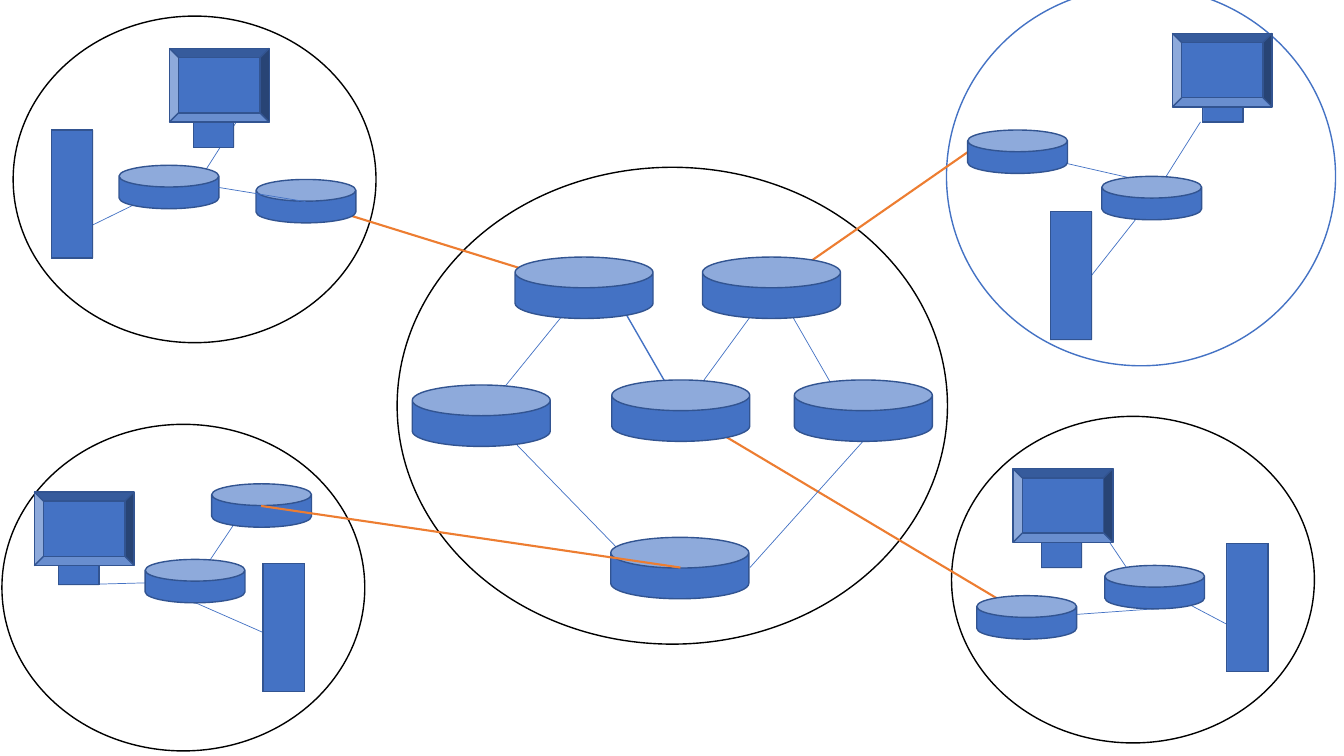
from dataclasses import dataclass

from lxml import etree
from pptx import Presentation
from pptx.dml.color import RGBColor
from pptx.enum.shapes import MSO_CONNECTOR, MSO_SHAPE
from pptx.oxml.ns import qn
from pptx.util import Pt

ELLIPSE = MSO_SHAPE.OVAL
BEVEL = MSO_SHAPE.BEVEL
CAN = MSO_SHAPE.CAN
STRAIGHT = MSO_CONNECTOR.STRAIGHT


@dataclass(frozen=True)
class Theme:
    white: RGBColor = RGBColor(0xFF, 0xFF, 0xFF)
    black: RGBColor = RGBColor(0x00, 0x00, 0x00)
    blue: RGBColor = RGBColor(0x44, 0x72, 0xC4)
    edge: RGBColor = RGBColor(0x32, 0x54, 0x91)
    orange: RGBColor = RGBColor(0xED, 0x7D, 0x31)
    outline: float = 1
    link: float = 0.5
    trunk: float = 1.5


@dataclass(frozen=True)
class LocalNetwork:
    ring: tuple
    ring_color: RGBColor
    monitor: tuple
    stand: tuple
    server: tuple
    routers: list
    links: list


THEME = Theme()
LOCAL_RING = (259.2, 233.3)
CORE_RING = (283.7, 119.5, 393.1, 340.6)
CORE_ROUTER = (98.6, 43.9)
LOCAL_ROUTER = (71.3, 31)
MONITOR = (71.3, 52.6)
STAND = (28.8, 52.6)
SERVER = (29.5, 91.4)

LOCAL_NETWORKS = [
    LocalNetwork(
        ring=(9.4, 11.5, *LOCAL_RING), ring_color=THEME.black,
        monitor=(121, 34.6), stand=(138.2, 52.6), server=(36.7, 92.9),
        routers=[(85, 118.1), (182.9, 128.2)],
        links=[(121, 133.9, 56.2, 165.6), (139, 133.9, 185.8, 60.5)],
    ),
    LocalNetwork(
        ring=(1.4, 303.1, *LOCAL_RING), ring_color=THEME.black,
        monitor=(24.5, 351.4), stand=(41.8, 365), server=(187.9, 402.5),
        routers=[(103.7, 399.6), (151.2, 345.6)],
        links=[(186.5, 345.6, 139.7, 415.4), (56.2, 417.6, 139.7, 415.4),
               (139.7, 430.6, 198.7, 456.5)],
    ),
    LocalNetwork(
        ring=(676.1, -9.4, 277.9, 270.7), ring_color=THEME.blue,
        monitor=(837.4, 23.8), stand=(859, 34.6), server=(750.2, 151.2),
        routers=[(787, 126), (691.2, 92.9)],
        links=[(840.2, 134.6, 726.5, 108.7), (823, 141.8, 857.5, 87.1),
               (779.8, 196.6, 823, 141.8)],
    ),
    LocalNetwork(
        ring=(679.7, 297.4, *LOCAL_RING), ring_color=THEME.black,
        monitor=(723.6, 334.8), stand=(743.8, 352.8), server=(876.2, 388.1),
        routers=[(789.1, 403.9), (697.7, 425.5)],
        links=[(733.7, 441.4, 824.4, 434.9), (843.1, 428.4, 896.4, 456.5),
               (773.3, 358.6, 824.4, 434.9)],
    ),
]

CORE_ROUTERS = [
    (437, 271.4), (294.5, 275), (367.9, 183.6),
    (501.8, 183.6), (567.4, 271.4), (436.3, 383.8),
]
CORE_LINKS = [
    (550.8, 205.9, 499.7, 275.8), (535.7, 405.4, 617, 314.6),
    (356.4, 304.6, 458.6, 409.7), (417.6, 205.9, 343.4, 297.4),
    (617, 314.6, 545.8, 190.8),
]
STRONG_CORE_LINK = (432, 198, 486.7, 293)
TRUNKS = [
    (218.2, 144, 417.6, 205.9),
    (691.2, 108.7, 537.8, 215.3),
    (722.2, 433.4, 486.7, 293),
]
FRONT_LINK = (218.2, 144, 156.2, 133.9)
FRONT_TRUNK = (486, 405.4, 186.5, 361.4)


class Diagram:
    def __init__(self, slide, theme):
        self.slide = slide
        self.theme = theme

    def solid(self, kind, box, fill, line):
        shape = self.slide.shapes.add_shape(kind, *map(Pt, box))
        shape.shadow.inherit = False
        shape.fill.solid()
        shape.fill.fore_color.rgb = fill
        shape.line.color.rgb = line
        shape.line.width = Pt(self.theme.outline)
        return shape

    def ring(self, box, color):
        self.solid(ELLIPSE, box, self.theme.white, color)

    def device(self, kind, position, size):
        return self.solid(kind, position + size, self.theme.blue, self.theme.edge)

    def router(self, position, size):
        self.device(CAN, position, size).adjustments[0] = 0.5

    def block(self, position, size):
        self.device(BEVEL, position, size).adjustments[0] = 0

    def monitor(self, position):
        shape = self.device(BEVEL, position, MONITOR)
        shape.element.spPr.find(qn("a:xfrm")).set("flipV", "1")

    def line(self, ends, color, width):
        connector = self.slide.shapes.add_connector(STRAIGHT, *map(Pt, ends))
        connector.line.color.rgb = color
        connector.line.width = Pt(width)
        etree.SubElement(connector.element.spPr, qn("a:effectLst"))

    def link(self, ends):
        self.line(ends, self.theme.blue, self.theme.link)

    def trunk(self, ends):
        self.line(ends, self.theme.orange, self.theme.trunk)

    def local_devices(self, network):
        for ends in network.links:
            self.link(ends)
        self.block(network.stand, STAND)
        self.monitor(network.monitor)
        self.block(network.server, SERVER)
        for position in network.routers:
            self.router(position, LOCAL_ROUTER)


def main():
    presentation = Presentation()
    presentation.slide_width = Pt(960)
    presentation.slide_height = Pt(540)
    slide = presentation.slides.add_slide(presentation.slide_layouts[6])
    diagram = Diagram(slide, THEME)

    diagram.ring(CORE_RING, THEME.black)
    for network in LOCAL_NETWORKS:
        diagram.ring(network.ring, network.ring_color)
    for ends in TRUNKS:
        diagram.trunk(ends)
    for ends in CORE_LINKS:
        diagram.link(ends)
    diagram.line(STRONG_CORE_LINK, THEME.blue, THEME.outline)
    for position in CORE_ROUTERS:
        diagram.router(position, CORE_ROUTER)
    for network in LOCAL_NETWORKS:
        diagram.local_devices(network)
    diagram.link(FRONT_LINK)
    diagram.trunk(FRONT_TRUNK)

    presentation.save("out.pptx")


if __name__ == "__main__":
    main()
